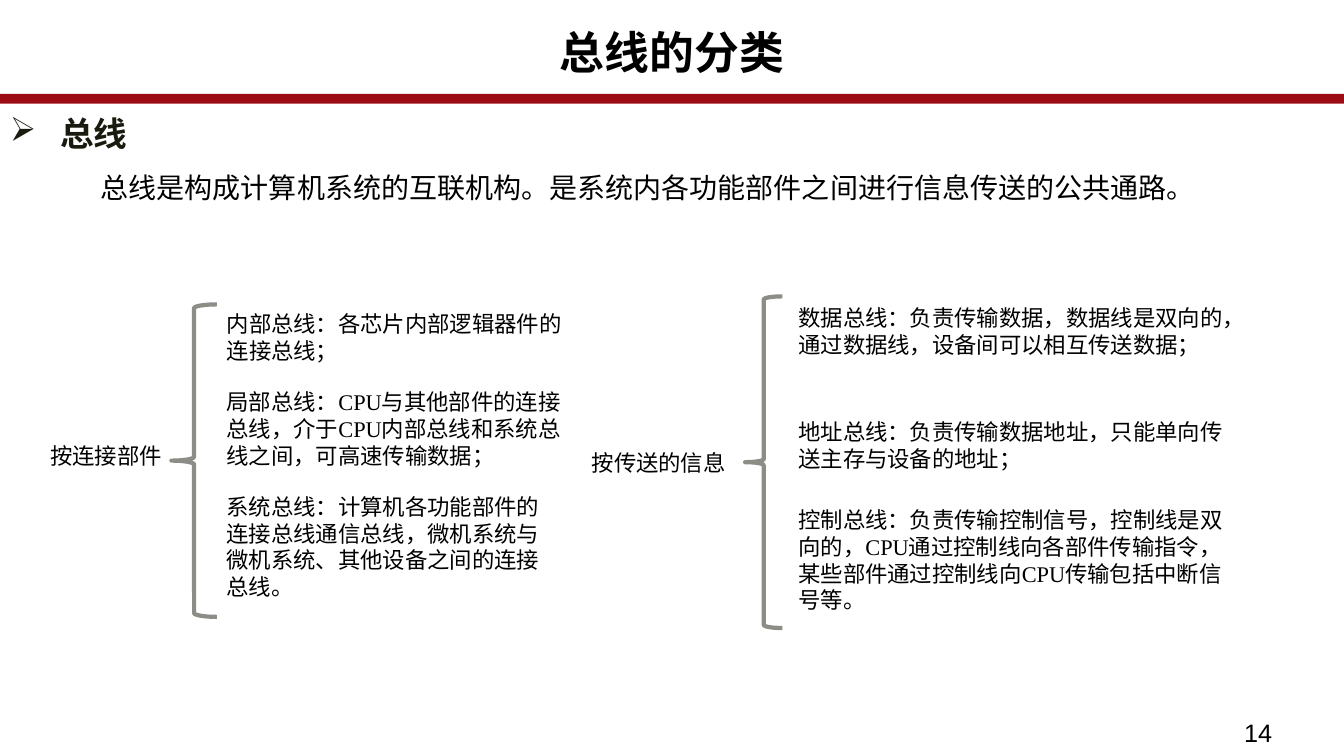
from lxml import etree
from pptx import Presentation
from pptx import util as u
from pptx.dml import color
from pptx.enum import shapes, text
from pptx.oxml import ns

SERIF = "Times New Roman"
CJK = "Noto Sans CJK SC"
CRIMSON = "9C0C15"
GRAY = "8C8D86"


def rgb(value):
    return color.RGBColor.from_string(value)


def box(at):
    return [u.Inches(v) for v in at]


def add_text(s, at, words, size=16, font=SERIF, ink="000000", bold=False,
             indent=0, margin=0, bullet=None, **formats):
    sp = s.shapes.add_textbox(*box(at))
    tf = sp.text_frame
    tf.word_wrap = True
    tf.vertical_anchor = text.MSO_ANCHOR.TOP
    p = tf.paragraphs[0]
    for name, value in formats.items():
        setattr(p, name, value)
    pPr = p._p.get_or_add_pPr()
    pPr.set("marL", str(u.Inches(margin)))
    pPr.set("indent", str(u.Inches(indent)))
    if bullet:
        etree.SubElement(pPr, ns.qn("a:buChar")).set("char", bullet)
    r = p.add_run()
    r.text = words
    for name, value in {"size": u.Pt(size), "name": font, "bold": bold}.items():
        setattr(r.font, name, value)
    r.font.color.rgb = rgb(ink)
    etree.SubElement(r._r.get_or_add_rPr(), ns.qn("a:ea")).set("typeface", CJK)


def add_outline(s, kind, at, ink, width, fill=None):
    sp = s.shapes.add_shape(kind, *box(at))
    sp.shadow.inherit = False
    if fill:
        sp.fill.solid()
        sp.fill.fore_color.rgb = rgb(fill)
    else:
        sp.fill.background()
    sp.line.color.rgb = rgb(ink)
    sp.line.width = u.Pt(width)


def add_group(s, label, label_at, font, brace_at, left, items):
    add_text(s, label_at, label, font=font)
    add_outline(s, shapes.MSO_SHAPE.LEFT_BRACE, brace_at, GRAY, 3)
    for top, width, height, words in items:
        add_text(s, (left, top, width, height), words)


def main():
    prs = Presentation()
    prs.slide_width, prs.slide_height = u.Inches(13.33), u.Inches(7.5)
    s = prs.slides.add_slide(prs.slide_layouts[6])

    add_outline(s, shapes.MSO_SHAPE.ROUNDED_RECTANGLE,
                (-0.01, 0.95, 13.34, 0.06), CRIMSON, 2.75, CRIMSON)
    add_text(s, (0, 0.26, 13.33, 0.75), "总线的分类", 32, bold=True,
             alignment=text.PP_ALIGN.CENTER, line_spacing=0.89)
    add_text(s, (0, 1.1, 6.38, 0.51), "总线", 24, ink="191B0E", bold=True,
             margin=0.5, indent=-0.5, bullet="➢", line_spacing=0.94)
    add_text(s, (12.24, 7.07, 1.09, 0.44), "14", 18, "Arial")
    add_text(s, (0.4, 1.64, 11.98, 0.77),
             "总线是构成计算机系统的互联机构。是系统内各功能部件之间进行信息传送的公共通路。",
             20, indent=0.5)

    add_group(s, "按连接部件", (0.4, 4.34, 1.99, 0.37), SERIF,
              (1.7, 3.02, 0.45, 3.1), 2.15, [
        (3.03, 3.59, 0.64, "内部总线：各芯片内部逻辑器件的连接总线；"),
        (3.8, 3.64, 0.91,
         "局部总线：CPU与其他部件的连接总线，介于CPU内部总线和系统总线之间，可高速传输数据；"),
        (4.84, 3.5, 1.18,
         "系统总线：计算机各功能部件的连接总线通信总线，微机系统与微机系统、其他设备之间的连接总线。"),
    ])
    add_group(s, "按传送的信息", (5.77, 4.41, 1.99, 0.37), CJK,
              (7.39, 2.94, 0.37, 3.29), 7.82, [
        (2.97, 4.78, 0.64,
         "数据总线：负责传输数据，数据线是双向的，通过数据线，设备间可以相互传送数据；"),
        (4.1, 4.52, 0.64, "地址总线：负责传输数据地址，只能单向传送主存与设备的地址；"),
        (4.97, 4.52, 1.18,
         "控制总线：负责传输控制信号，控制线是双向的，CPU通过控制线向各部件传输指令，"
         "某些部件通过控制线向CPU传输包括中断信号等。"),
    ])
    prs.save("out.pptx")


if __name__ == "__main__":
    main()
